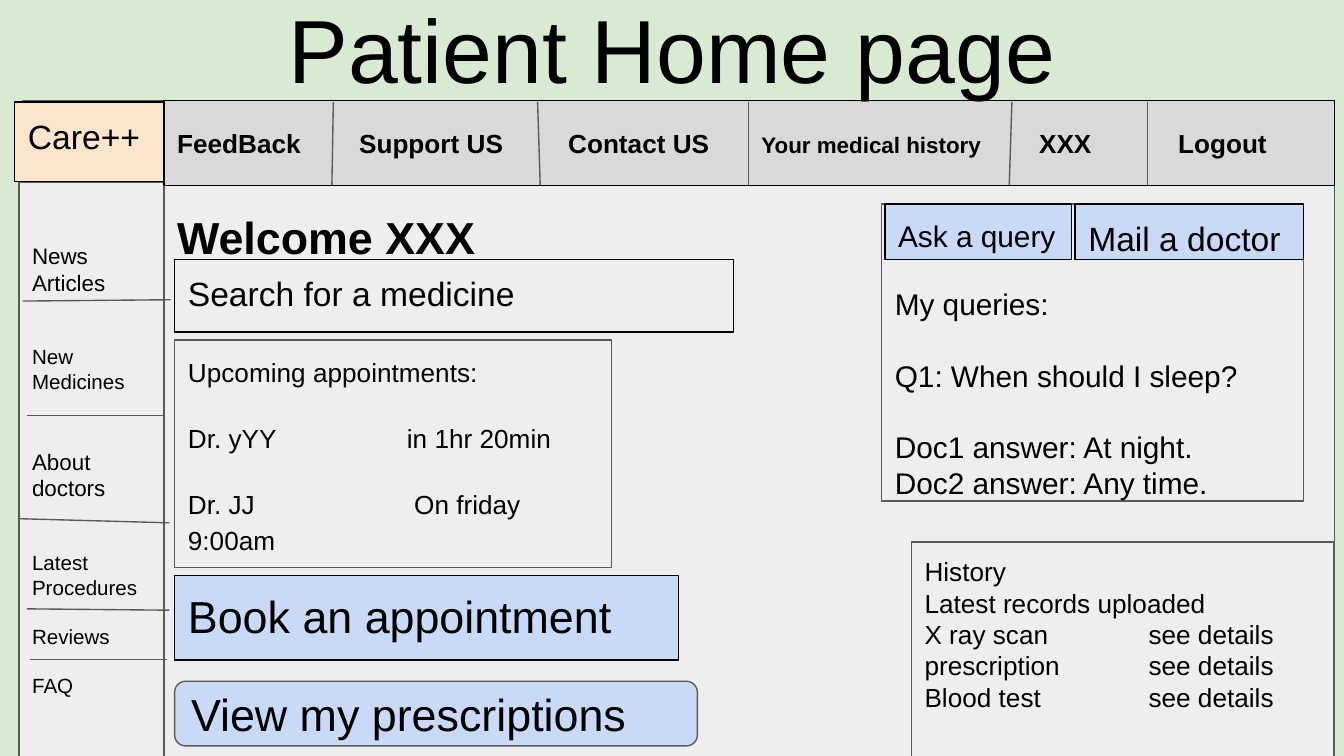
from pptx import Presentation
from pptx.dml.color import RGBColor
from pptx.enum.shapes import MSO_CONNECTOR, MSO_SHAPE
from pptx.enum.text import MSO_ANCHOR, PP_ALIGN
from pptx.oxml.ns import qn
from pptx.util import Pt
from lxml.etree import SubElement

BLACK = RGBColor(0x00, 0x00, 0x00)
DARK_GRAY = RGBColor(0x59, 0x59, 0x59)
MID_GRAY = RGBColor(0xD9, 0xD9, 0xD9)
LIGHT_GRAY = RGBColor(0xEE, 0xEE, 0xEE)
PALE_GREEN = RGBColor(0xD9, 0xEA, 0xD3)
PALE_BLUE = RGBColor(0xC9, 0xDA, 0xF8)
PALE_ORANGE = RGBColor(0xFC, 0xE5, 0xCD)


def set_attributes(target, values):
    """Set each named attribute of the target."""
    for name, value in values.items():
        setattr(target, name, value)


def add_run(paragraph, text, size, bold=False):
    """Append a run of black Arial text."""
    run = paragraph.add_run()
    run.text = text
    set_attributes(run.font, {"name": "Arial", "size": Pt(size), "bold": bold})
    run.font.color.rgb = BLACK


def add_tab_stops(paragraph, positions):
    """Give a paragraph left tab stops at the positions."""
    tab_list = SubElement(paragraph._p.get_or_add_pPr(), qn("a:tabLst"))
    for position in positions:
        SubElement(tab_list, qn("a:tab"), pos=str(Pt(position)), algn="l")


def write_text(shape, paragraphs, anchor=MSO_ANCHOR.TOP):
    """Write paragraphs given as (runs, format values, tab stops)."""
    frame = shape.text_frame
    inset = Pt(7.2)
    set_attributes(frame, {
        "word_wrap": True, "vertical_anchor": anchor,
        "margin_left": inset, "margin_right": inset,
        "margin_top": inset, "margin_bottom": inset,
    })
    for index, (runs, values, tab_stops) in enumerate(paragraphs):
        paragraph = frame.add_paragraph() if index else frame.paragraphs[0]
        set_attributes(paragraph, {"alignment": PP_ALIGN.LEFT, **values})
        if tab_stops:
            add_tab_stops(paragraph, tab_stops)
        for run in runs:
            add_run(paragraph, *run)


def add_panel(slide, box, fill, line=DARK_GRAY, kind=MSO_SHAPE.RECTANGLE):
    """Add an outlined shape, unfilled when fill is None."""
    shape = slide.shapes.add_shape(kind, *map(Pt, box))
    shape.shadow.inherit = False
    if fill is None:
        shape.fill.background()
    else:
        shape.fill.solid()
        shape.fill.fore_color.rgb = fill
    shape.line.color.rgb = line
    shape.line.width = Pt(0.75)
    return shape


def add_label(slide, box, text, size, fill, **style):
    """Add a panel holding one line of text."""
    anchor = style.pop("anchor", MSO_ANCHOR.TOP)
    shape = add_panel(slide, box, fill, **{"line": BLACK, **style})
    write_text(shape, [([(text, size)], {}, ())], anchor)


def add_dividers(slide, box, ends):
    """Draw thin lines between points relative to the box."""
    left, top = box[:2]
    for x1, y1, x2, y2 in ends:
        divider = slide.shapes.add_connector(
            MSO_CONNECTOR.STRAIGHT, Pt(left + x1), Pt(top + y1), Pt(left + x2), Pt(top + y2))
        divider.line.color.rgb = DARK_GRAY
        divider.line.width = Pt(0.75)
        SubElement(divider._element.spPr, qn("a:effectLst"))


def add_heading(slide, box, text, size, values, bold=False):
    """Add a heading in a plain text box."""
    heading = slide.shapes.add_textbox(*map(Pt, box))
    write_text(heading, [([(text, size, bold)], values, ())])


def add_appointments(slide, box):
    """Add the list of upcoming appointments."""
    spaced = {"line_spacing": 1.15, "space_before": Pt(16)}
    write_text(add_panel(slide, box, LIGHT_GRAY), [
        ([("Upcoming appointments:", 14)], {"line_spacing": 1.15}, ()),
        ([("Dr. yYY\tin 1hr 20min", 14)], spaced, (117.3,)),
        ([("Dr. JJ\tOn friday 9:00am", 14)], {**spaced, "space_after": Pt(16)}, (121.2,)),
    ], MSO_ANCHOR.MIDDLE)


def add_history(slide, box):
    """Add the list of uploaded records."""
    records = ["X ray scan", "prescription", "Blood test"]
    lines = ["History", "Latest records uploaded"]
    lines += [f"{record}\tsee details" for record in records]
    write_text(add_panel(slide, box, LIGHT_GRAY),
               [([(line, 14)], {}, (120,)) for line in lines])


def add_queries(slide, box):
    """Add the queries panel with its two buttons."""
    left, top, width, height = box
    add_panel(slide, box, LIGHT_GRAY)
    lines = [("My queries:", 0), ("Q1: When should I sleep?", 19),
             ("Doc1 answer: At night.", 19), ("Doc2 answer: Any time.", 0)]
    answers = slide.shapes.add_textbox(Pt(left), Pt(top + 36.7), Pt(width), Pt(114.5))
    write_text(answers, [([(text, 16)], {"space_before": Pt(gap)}, ()) for text, gap in lines])
    add_label(slide, (left + 1.8, top, 100, 29.5), "Ask a query", 16, PALE_BLUE)
    add_label(slide, (left + width - 122.4, top, 122.4, 29.5), "Mail a doctor", 18, PALE_BLUE)


def add_sidebar(slide, box):
    """Add the side menu and its dividers."""
    items = [("News Articles", 12, 0), ("New Medicines", 11, 26), ("About doctors", 12, 29),
             ("Latest Procedures", 11, 26), ("Reviews", 11, 13), ("FAQ", 11, 13)]
    write_text(add_panel(slide, box, LIGHT_GRAY), [
        ([(text, size)], {"space_before": Pt(gap)}, ()) for text, size, gap in items
    ], MSO_ANCHOR.MIDDLE)
    add_dividers(slide, box, [
        (2.1, 63.4, 81.3, 62.7), (4.3, 124.6, 77.7, 124.6), (0, 180, 80.6, 182.2),
        (4.3, 228.3, 80.6, 229), (5.8, 255.6, 79.2, 255.6),
    ])


def add_navigation(slide, box):
    """Add the top menu and its dividers."""
    runs = [("FeedBack\tSupport US\tContact US\t", 14, True),
            ("Your medical history", 12, True), ("\tXXX\tLogout", 14, True)]
    tab_stops = (97.5, 209.5, 313, 461.8, 536.3)
    write_text(add_panel(slide, box, MID_GRAY, BLACK), [(runs, {}, tab_stops)], MSO_ANCHOR.MIDDLE)
    edges = [(90, 90.8), (201.6, 200.2), (313.2, 313.2), (452.9, 454.3), (527, 527)]
    add_dividers(slide, box, [(bottom, 45, top, 0.7) for bottom, top in edges])


def add_home_page(slide, box):
    """Place every region of the home page in the box."""
    left, top, width, height = box
    bottom = top + height
    content = left + 81.4
    add_panel(slide, box, LIGHT_GRAY)
    add_appointments(slide, (content, top + 128.2, 234, 121.7))
    add_history(slide, (left + 476, bottom - 114.8, 226.4, 114.8))
    add_queries(slide, (left + 460.1, top + 55.4, 226.1, 159.1))
    add_heading(slide, (left + 75.6, top + 46.8, 221.8, 38.9), "Welcome XXX", 24,
                {"line_spacing": 1.15, "space_after": Pt(16)}, True)
    add_label(slide, (content, top + 85, 299.5, 38.9), "Search for a medicine", 18, None)
    add_label(slide, (content, top + 254.2, 270, 45.4), "Book an appointment", 24, PALE_BLUE)
    add_label(slide, (left - 4.3, top + 0.7, 85.7, 42.5), "Care++", 18, PALE_ORANGE)
    add_label(slide, (content, top + 311, 280, 34.6), "View my prescriptions", 24, PALE_BLUE,
              line=DARK_GRAY, kind=MSO_SHAPE.ROUNDED_RECTANGLE, anchor=MSO_ANCHOR.MIDDLE)
    add_sidebar(slide, (left - 2.1, top + 43.9, 77.8, 307.4))
    add_navigation(slide, (left + 75.6, top, 627.1, 45.4))


def main():
    """Build and save the presentation."""
    presentation = Presentation()
    set_attributes(presentation, {"slide_width": Pt(720), "slide_height": Pt(405)})
    slide = presentation.slides.add_slide(presentation.slide_layouts[6])
    slide.background.fill.solid()
    slide.background.fill.fore_color.rgb = PALE_GREEN
    add_home_page(slide, (12.2, 54, 702.7, 351.3))
    add_heading(slide, (24.5, -10.4, 671, 45.4), "Patient Home page", 48,
                {"alignment": PP_ALIGN.CENTER})
    presentation.save("out.pptx")


if __name__ == "__main__":
    main()
